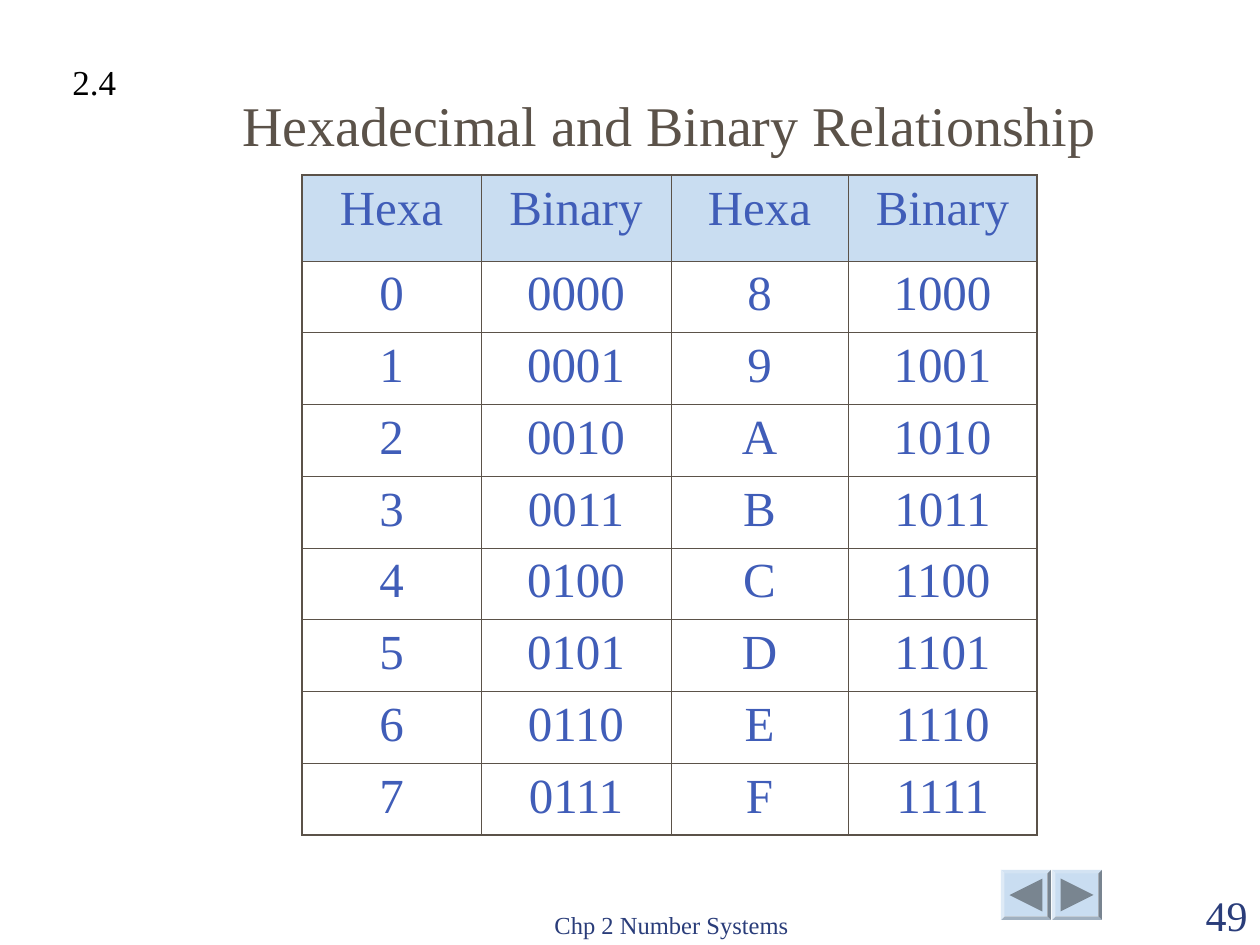
from lxml import etree
from pptx import Presentation
from pptx.dml.color import RGBColor
from pptx.enum.shapes import MSO_SHAPE
from pptx.enum.text import MSO_ANCHOR, PP_ALIGN
from pptx.oxml.ns import qn
from pptx.util import Inches, Pt

LEFT, CENTER, RIGHT = PP_ALIGN.LEFT, PP_ALIGN.CENTER, PP_ALIGN.RIGHT
TOP, BOTTOM = MSO_ANCHOR.TOP, MSO_ANCHOR.BOTTOM
BEVEL, TRIANGLE = MSO_SHAPE.BEVEL, MSO_SHAPE.ISOSCELES_TRIANGLE

PX_PER_INCH = 126
FONT = "Times New Roman"
BROWN, NAVY, BLUE = "5B5249", "2A3D7A", "405DB8"
PALE_BLUE, GREY, BLACK = "C9DDF1", "798590", "000000"
THIN, THICK = 0.45, 1.08

HEADINGS = ["Hexa", "Binary"] * 2
COLUMN_WIDTHS = [179, 190, 177, 189]
HEADER_HEIGHT, BODY_HEIGHT = 86, 574
DIGIT_ROWS = 8


def px(length):
    return Inches(length / PX_PER_INCH)


def rgb(color):
    return RGBColor.from_string(color)


def write(frame, text, size, color, align, anchor=TOP, wrap=True):
    frame.text = text
    layout = {"word_wrap": wrap, "vertical_anchor": anchor,
              "margin_left": Inches(0.1), "margin_right": Inches(0.1),
              "margin_top": Inches(0.05), "margin_bottom": Inches(0.05)}
    for name, value in layout.items():
        setattr(frame, name, value)
    paragraph = frame.paragraphs[0]
    paragraph.alignment = align
    font = paragraph.runs[0].font
    for name, value in {"name": FONT, "size": Pt(size), "bold": False}.items():
        setattr(font, name, value)
    font.color.rgb = rgb(color)


def add_label(slide, box, *text_format, **layout):
    label = slide.shapes.add_textbox(*map(px, box))
    write(label.text_frame, *text_format, **layout)


def set_title(slide, text):
    title = slide.shapes.title
    for name, value in zip(("left", "top", "width", "height"), (134, 76, 1071, 88)):
        setattr(title, name, px(value))
    write(title.text_frame, text, 32, BROWN, CENTER, BOTTOM)


def add_plain_shape(slide, preset, box, color):
    shape = slide.shapes.add_shape(preset, *map(px, box))
    shape.shadow.inherit = False
    shape.fill.solid()
    shape.fill.fore_color.rgb = rgb(color)
    shape.line.fill.background()
    return shape


def add_navigation_button(slide, left, rotation):
    """Bevelled button with a triangle turned to its direction."""
    top, size, arrow_size = 870, 50, 33
    inset = (size - arrow_size) / 2
    button = add_plain_shape(slide, BEVEL, (left, top, size, size), PALE_BLUE)
    button.adjustments[0] = 0.07
    arrow = add_plain_shape(
        slide, TRIANGLE, (left + inset, top + inset, arrow_size, arrow_size), GREY)
    arrow.rotation = rotation


def set_borders(cell, widths):
    """Draw the borders of a cell, with widths for left, right, top and bottom."""
    properties = cell._tc.get_or_add_tcPr()
    for index, (side, width) in enumerate(zip("LRTB", widths)):
        line = etree.Element(qn(f"a:ln{side}"), w=str(Pt(width)))
        fill = etree.SubElement(line, qn("a:solidFill"))
        etree.SubElement(fill, qn("a:srgbClr"), val=BROWN)
        properties.insert(index, line)


def add_digit_table(slide):
    rows = [HEADINGS]
    for low in range(DIGIT_ROWS):
        high = low + DIGIT_ROWS
        rows.append([f"{low:X}", f"{low:04b}", f"{high:X}", f"{high:04b}"])
    frame = slide.shapes.add_table(
        len(rows), len(HEADINGS), px(302), px(175),
        px(sum(COLUMN_WIDTHS)), px(HEADER_HEIGHT + BODY_HEIGHT))
    table = frame.table
    table.first_row = table.horz_banding = False
    for column, width in zip(table.columns, COLUMN_WIDTHS):
        column.width = px(width)
    last_row, last_column = len(rows) - 1, len(HEADINGS) - 1
    for r, values in enumerate(rows):
        table.rows[r].height = px(BODY_HEIGHT / DIGIT_ROWS if r else HEADER_HEIGHT)
        for c, value in enumerate(values):
            cell = table.cell(r, c)
            write(cell.text_frame, value, 28, BLUE, CENTER)
            if r == 0:
                cell.fill.solid()
                cell.fill.fore_color.rgb = rgb(PALE_BLUE)
            else:
                cell.fill.background()
            outer = (c == 0, c == last_column, r == 0, r == last_row)
            set_borders(cell, [THICK if edge else THIN for edge in outer])


def main():
    deck = Presentation()
    deck.slide_width, deck.slide_height = Inches(10), Inches(7.5)
    slide = deck.slides.add_slide(deck.slide_layouts[5])
    add_navigation_button(slide, 1001, -90)
    add_navigation_button(slide, 1052, 90)
    add_label(slide, (472, 883, 399, 63), "Chp 2 Number Systems", 14, NAVY, CENTER, BOTTOM)
    add_label(slide, (1134, 883, 126, 63), "49", 24, NAVY, RIGHT, BOTTOM)
    set_title(slide, "Hexadecimal and Binary Relationship")
    add_label(slide, (60, 54, 69, 55), "2.4", 20, BLACK, LEFT, wrap=False)
    add_digit_table(slide)
    deck.save("out.pptx")


if __name__ == "__main__":
    main()
